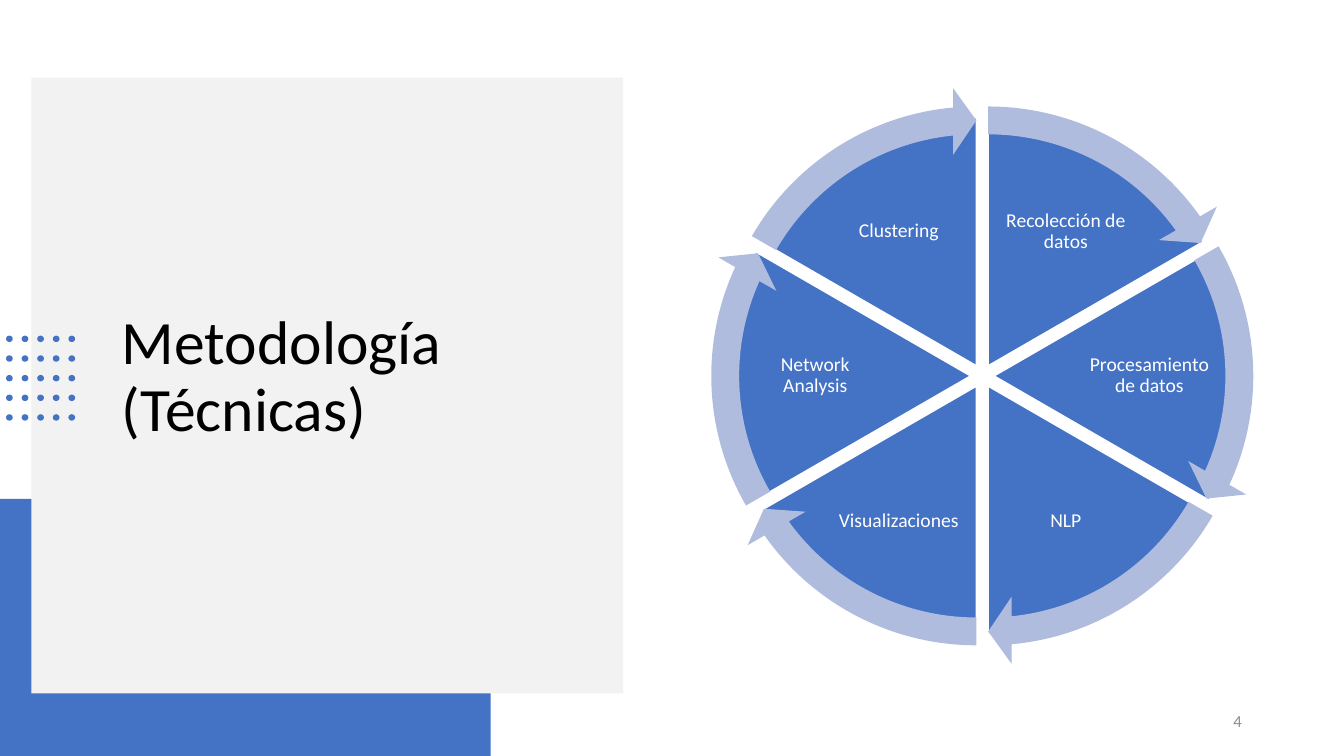
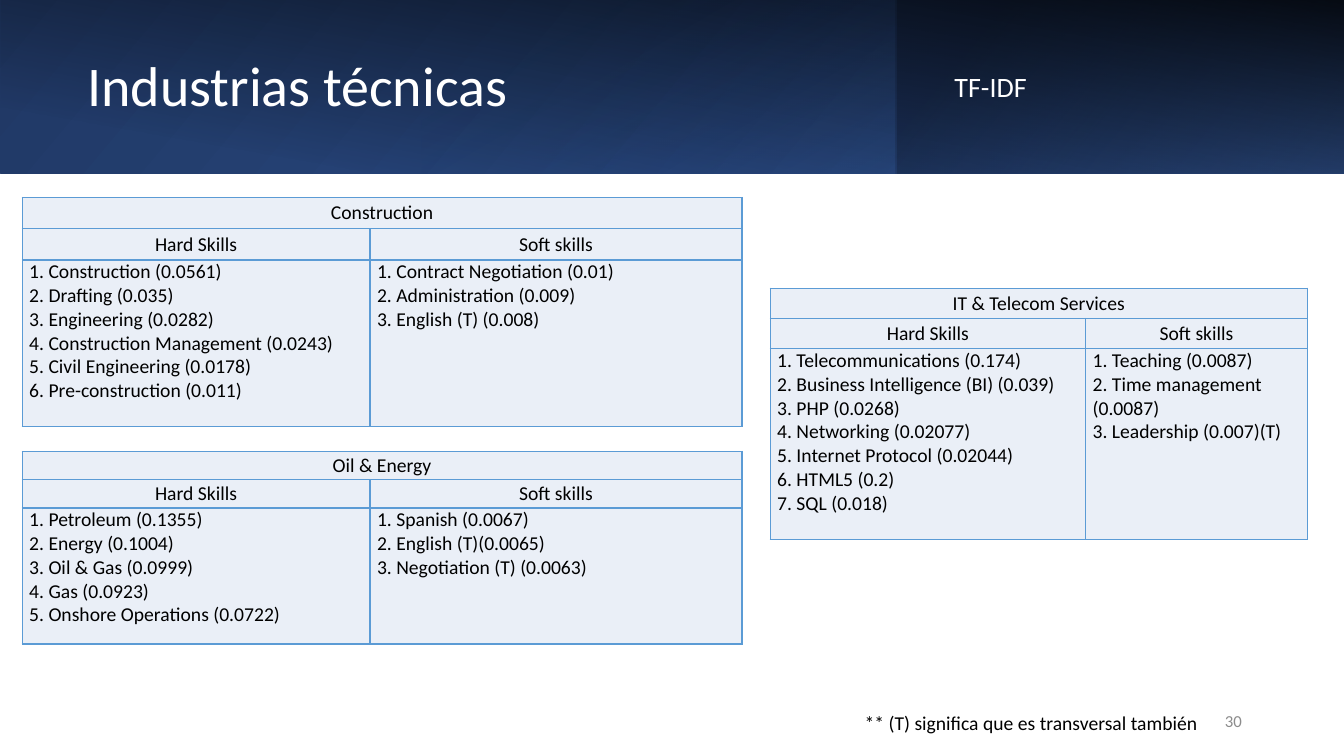
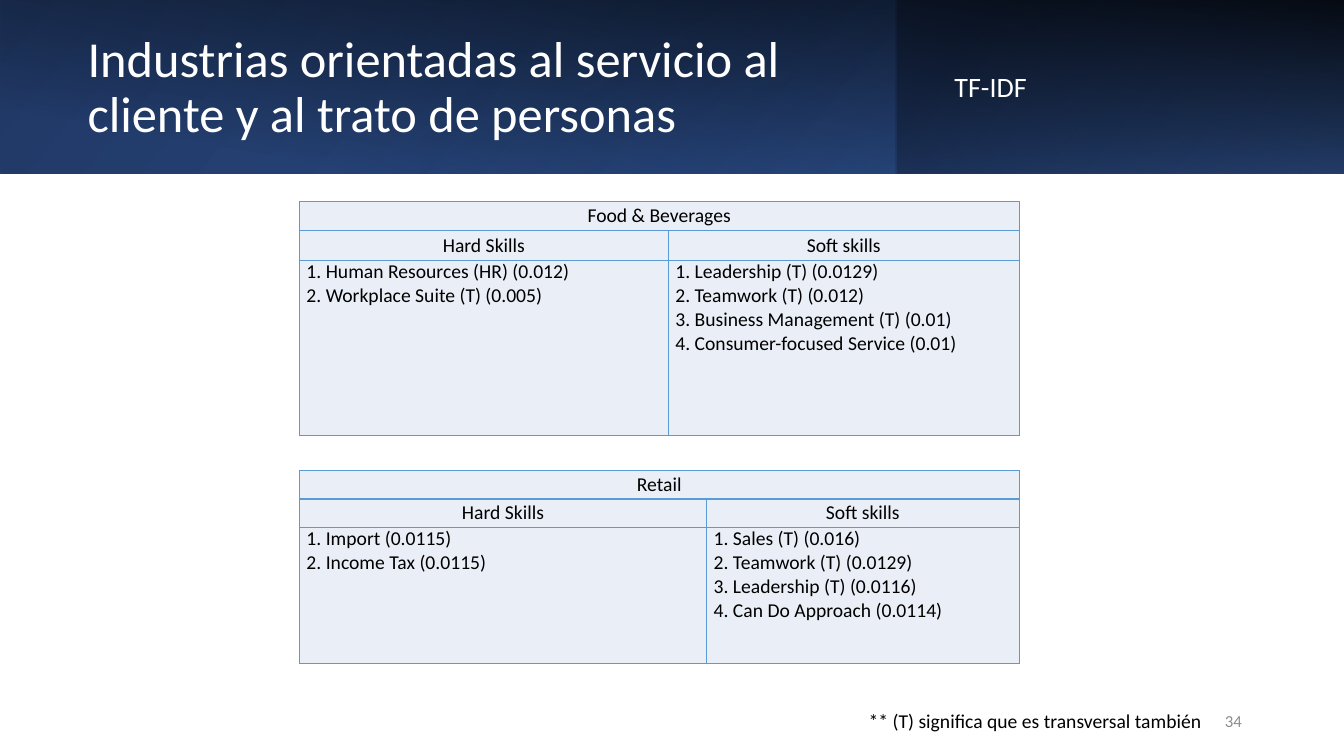
from dataclasses import dataclass
from math import cos, radians, sin

from lxml.etree import SubElement
from pptx import Presentation
from pptx.dml.color import RGBColor as Rgb
from pptx.enum.shapes import MSO_SHAPE as Form
from pptx.enum.text import MSO_ANCHOR as Anchor, PP_ALIGN as Align
from pptx.oxml.ns import qn
from pptx.util import Inches, Pt

WIDE, HIGH = Inches(40 / 3), Inches(7.5)
RATIO = HIGH / WIDE
FONT = "Calibri"
HEX = {
    "white": "FFFFFF", "black": "000000", "blue": "4472C4", "navy": "203864",
    "royal": "2F5597", "pale": "F2F2F2", "arrow": "B0BCDE", "cell": "EAEFF7",
    "rule": "5B9BD5", "gray": "8C8C8C",
}
NOTE = "** (T) significa que es transversal también"


@dataclass
class Box:
    """Place and size as percent of the slide's width and height."""
    x: float
    y: float
    w: float
    h: float

    def emu(self) -> tuple[int, int, int, int]:
        return across(self.x), down(self.y), across(self.w), down(self.h)


@dataclass
class Stop:
    pos: int
    color: str
    alpha: int = 100


@dataclass
class Layer:
    box: Box
    angle: int
    stops: tuple[Stop, Stop]
    turn: int = 0
    flip: bool = False


@dataclass
class Skills:
    name: str
    x: float
    y: float
    cols: tuple[float, float]
    head: float
    body: float
    hard: list[str]
    soft: list[str]


def across(share: float) -> int:
    return round(WIDE * share / 100)


def down(share: float) -> int:
    return round(HIGH * share / 100)


def color(name: str) -> Rgb:
    return Rgb.from_string(HEX[name])


def write(frame, text, *, size=14, tint="black", align=Align.LEFT,
          anchor=Anchor.TOP, space=None, wrap=True, pad=None) -> None:
    """Fill a text frame or cell frame, one paragraph a line."""
    frame.word_wrap = wrap
    frame.vertical_anchor = anchor
    if pad is not None:
        frame.margin_left = frame.margin_right = pad
        frame.margin_top = frame.margin_bottom = pad
    for i, line in enumerate(text.split("\n")):
        para = frame.add_paragraph() if i else frame.paragraphs[0]
        para.alignment = align
        if space:
            para.line_spacing = space
        run = para.add_run()
        run.text = line
        run.font.name, run.font.size = FONT, Pt(size)
        run.font.color.rgb = color(tint)


def label(slide, box: Box, text: str, **style) -> None:
    write(slide.shapes.add_textbox(*box.emu()).text_frame, text, **style)


def draw(slide, form, box: Box, fill: str, edge: str = "", adjust=()):
    shape = slide.shapes.add_shape(form, *box.emu())
    shape.shadow.inherit = False
    shape.fill.solid()
    shape.fill.fore_color.rgb = color(fill)
    if edge:
        shape.line.color.rgb = color(edge)
        shape.line.width = Pt(1)
    else:
        shape.line.fill.background()
    for i, value in enumerate(adjust):
        shape.adjustments[i] = value
    return shape


def number(slide, page: int) -> None:
    label(slide, Box(70.65, 92.67, 22.5, 5.33), str(page), size=12,
          tint="gray", align=Align.RIGHT, anchor=Anchor.MIDDLE)


# Header band: four gradient layers
BAND = 22.93
LAYERS = [
    Layer(Box(0, 0, 100, BAND), 140,
          (Stop(0, "navy"), Stop(100, "royal")), flip=True),
    Layer(Box(66.67, 0, 33.33, BAND), 320,
          (Stop(19, "navy", 68), Stop(100, "blue", 79)), turn=180, flip=True),
    Layer(Box(0, 0, 100, BAND), 190,
          (Stop(16, "black", 0), Stop(99, "black", 87)), turn=90),
    Layer(Box(31.35, 0, 35.32, BAND), 240,
          (Stop(0, "blue", 17), Stop(74, "navy", 0))),
]


def shade(slide, layer: Layer) -> None:
    shape = draw(slide, Form.RECTANGLE, layer.box, "navy")
    if layer.turn == 90:  # swap the sides about the same centre
        left, top, w, h = layer.box.emu()
        shape.left, shape.top = left + (w - h) // 2, top + (h - w) // 2
        shape.width, shape.height = h, w
    shape.rotation = layer.turn
    props = shape._element.spPr
    if layer.flip:
        props.find(qn("a:xfrm")).set("flipH", "1")
    shape.fill.gradient()
    grad = props.find(qn("a:gradFill"))
    for child in list(grad):
        grad.remove(child)
    stops = SubElement(grad, qn("a:gsLst"))
    for stop in layer.stops:
        mark = SubElement(stops, qn("a:gs"), pos=str(stop.pos * 1000))
        tone = SubElement(mark, qn("a:srgbClr"), val=HEX[stop.color])
        if stop.alpha < 100:
            SubElement(tone, qn("a:alpha"), val=str(stop.alpha * 1000))
    SubElement(grad, qn("a:lin"), ang=str(layer.angle * 60000), scaled="0")


def header(slide, title: str, size: int) -> None:
    for layer in LAYERS:
        shade(slide, layer)
    style = dict(tint="white", anchor=Anchor.MIDDLE, space=0.9)
    label(slide, Box(5.78, 5.2, 58.2, 13.07), title, size=size, **style)
    label(slide, Box(70.28, 5.6, 27, 12.13), "TF-IDF", size=20, **style)


# Skill tables
def border(cell) -> None:
    props = cell._tc.get_or_add_tcPr()
    for i, side in enumerate(("lnL", "lnR", "lnT", "lnB")):
        line = props.makeelement(qn("a:" + side), {"w": str(Pt(1))})
        fill = SubElement(line, qn("a:solidFill"))
        SubElement(fill, qn("a:srgbClr"), val=HEX["rule"])
        props.insert(i, line)


def listing(items: list[str]) -> str:
    return "\n".join(f"{i}. {item}" for i, item in enumerate(items, 1))


def skills(slide, data: Skills) -> None:
    rows = (data.head, data.head, data.body)
    box = Box(data.x, data.y, sum(data.cols), sum(rows))
    table = slide.shapes.add_table(3, 2, *box.emu()).table
    table.first_row = table.horz_banding = False
    for col, share in zip(table.columns, data.cols):
        col.width = across(share)
    for row, share in zip(table.rows, rows):
        row.height = down(share)
    table.cell(0, 0).merge(table.cell(0, 1))
    texts = ((data.name, ""), ("Hard Skills", "Soft skills"),
             (listing(data.hard), listing(data.soft)))
    for r, pair in enumerate(texts):
        for c, text in enumerate(pair):
            cell = table.cell(r, c)
            cell.margin_left = cell.margin_right = Inches(0.07)
            cell.margin_top = cell.margin_bottom = 0
            cell.fill.solid()
            cell.fill.fore_color.rgb = color("cell")
            border(cell)
            cell.vertical_anchor = Anchor.TOP if r == 2 else Anchor.MIDDLE
            if text:
                side = (Align.JUSTIFY, Align.LEFT)[c] if r == 2 else Align.CENTER
                fill_cell(cell, text, side)


def fill_cell(cell, text: str, side) -> None:
    anchor = cell.vertical_anchor
    write(cell.text_frame, text, align=side)
    # A cell keeps its anchor in the cell, not in the text body
    body = cell.text_frame._txBody.bodyPr
    for key in list(body.attrib):
        del body.attrib[key]
    cell.vertical_anchor = anchor


def report(deck, title: str, size: int, tables: list[Skills],
           note: tuple[float, float], page: int) -> None:
    slide = deck.slides.add_slide(deck.slide_layouts[6])
    header(slide, title, size)
    for data in tables:
        skills(slide, data)
    label(slide, Box(*note, 26.55, 4.53), NOTE, wrap=False)
    number(slide, page)


TECH = [
    Skills("Construction", 1.65, 26.13, (25.88, 27.68), 4.13, 22,
           ["Construction (0.0561)", "Drafting (0.035)", "Engineering (0.0282)",
            "Construction Management (0.0243)", "Civil Engineering (0.0178)",
            "Pre-construction (0.011)"],
           ["Contract Negotiation (0.01)", "Administration (0.009)",
            "English (T) (0.008)"]),
    Skills("Oil & Energy", 1.65, 59.73, (25.88, 27.68), 3.73, 18,
           ["Petroleum (0.1355)", "Energy (0.1004)", "Oil & Gas (0.0999)",
            "Gas (0.0923)", "Onshore Operations (0.0722)"],
           ["Spanish (0.0067)", "English (T)(0.0065)",
            "Negotiation (T) (0.0063)"]),
    Skills("IT & Telecom Services", 57.3, 38.13, (23.48, 16.5), 4, 25.2,
           ["Telecommunications (0.174)", "Business Intelligence (BI) (0.039)",
            "PHP (0.0268)", "Networking (0.02077)",
            "Internet Protocol (0.02044)", "HTML5 (0.2)", "SQL (0.018)"],
           ["Teaching (0.0087)", "Time management (0.0087)",
            "Leadership (0.007)(T)"]),
]
SERVICE = [
    Skills("Food & Beverages", 22.28, 26.67, (27.45, 26.1), 3.87, 23.2,
           ["Human Resources (HR) (0.012)", "Workplace Suite (T) (0.005)"],
           ["Leadership (T) (0.0129)", "Teamwork (T) (0.012)",
            "Business Management (T) (0.01)",
            "Consumer-focused Service (0.01)"]),
    Skills("Retail", 22.28, 62.27, (30.3, 23.25), 3.73, 18,
           ["Import (0.0115)", "Income Tax (0.0115)"],
           ["Sales (T) (0.016)", "Teamwork (T) (0.0129)",
            "Leadership (T) (0.0116)", "Can Do Approach (0.0114)"]),
]

# Method wheel: clockwise from the top
STEPS = ["Recolección de datos", "Procesamiento de datos", "NLP",
         "Visualizaciones", "Network Analysis", "Clustering"]
SLICE, FULL, TOP = 36, 216, 162  # angles in units of 100000 / 60000 degrees
HEAD = 3.28


def spot(angle: float, reach: float, w: float, h: float) -> Box:
    """Box centred at a distance, in percent of height, from the hub."""
    x = 73.09 + reach * RATIO * cos(radians(angle))
    y = 49.73 + reach * sin(radians(angle))
    return Box(x - w / 2, y - h / 2, w, h)


def wheel(slide) -> None:
    gap, pie, ring = 1.56, 65.6, 73.73
    turns = [(360 / len(STEPS) * i - 60, (TOP + SLICE * i) % FULL)
             for i in range(len(STEPS))]
    for step, (angle, start) in zip(STEPS, turns):
        draw(slide, Form.PIE, spot(angle, gap, pie * RATIO, pie), "blue",
             "white", (start, (start + SLICE) % FULL))
        label(slide, spot(angle, 22.1, 9.9, 13.33), step, tint="white",
              align=Align.CENTER, anchor=Anchor.MIDDLE, space=0.9,
              pad=Inches(0.02))
    for angle, start in turns:
        tip = (start + SLICE - HEAD) % FULL
        draw(slide, Form.CIRCULAR_ARROW, spot(angle, gap, ring * RATIO, ring),
             "arrow", adjust=(0.05, HEAD, tip, start, 0.06))


def method(deck) -> None:
    slide = deck.slides.add_slide(deck.slide_layouts[6])
    draw(slide, Form.RECTANGLE, Box(0, 66, 36.5, 34), "blue")
    draw(slide, Form.RECTANGLE, Box(2.33, 10.27, 44.03, 81.47), "pale")
    label(slide, Box(8.33, 19.6, 34.43, 60.8), "Metodología (Técnicas)",
          size=44, anchor=Anchor.MIDDLE, space=0.9)
    # Dot grid
    for col in range(5):
        for row in range(5):
            dot = Box(0.45 + 1.16 * col, 44.4 + 2.6 * row, 0.5, 0.85)
            draw(slide, Form.OVAL, dot, "blue")
    wheel(slide)
    number(slide, 4)


def main() -> None:
    deck = Presentation()
    deck.slide_width, deck.slide_height = WIDE, HIGH
    method(deck)
    report(deck, "Industrias técnicas", 40, TECH, (63.6, 93.33), 30)
    report(deck, "Industrias orientadas al servicio al cliente y al trato de "
           "personas", 36, SERVICE, (63.9, 93.07), 34)
    deck.save("out.pptx")


if __name__ == "__main__":
    main()
